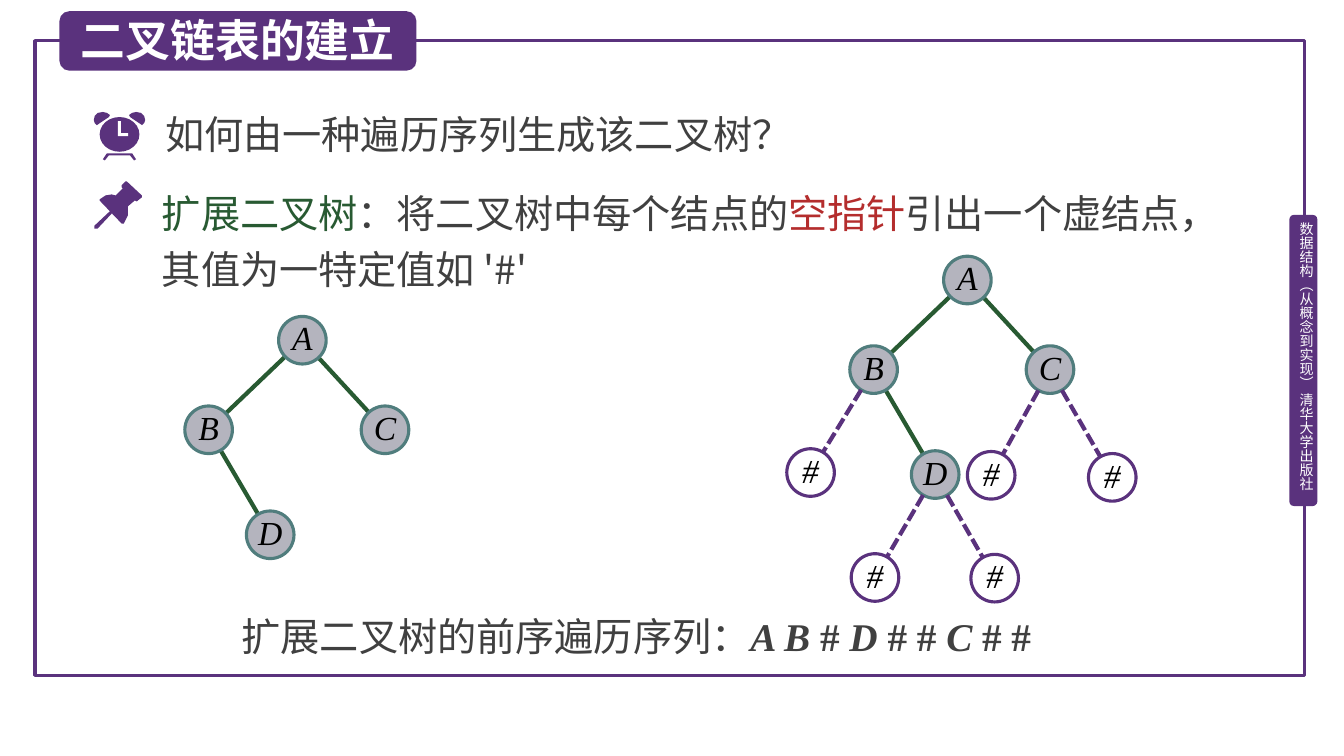
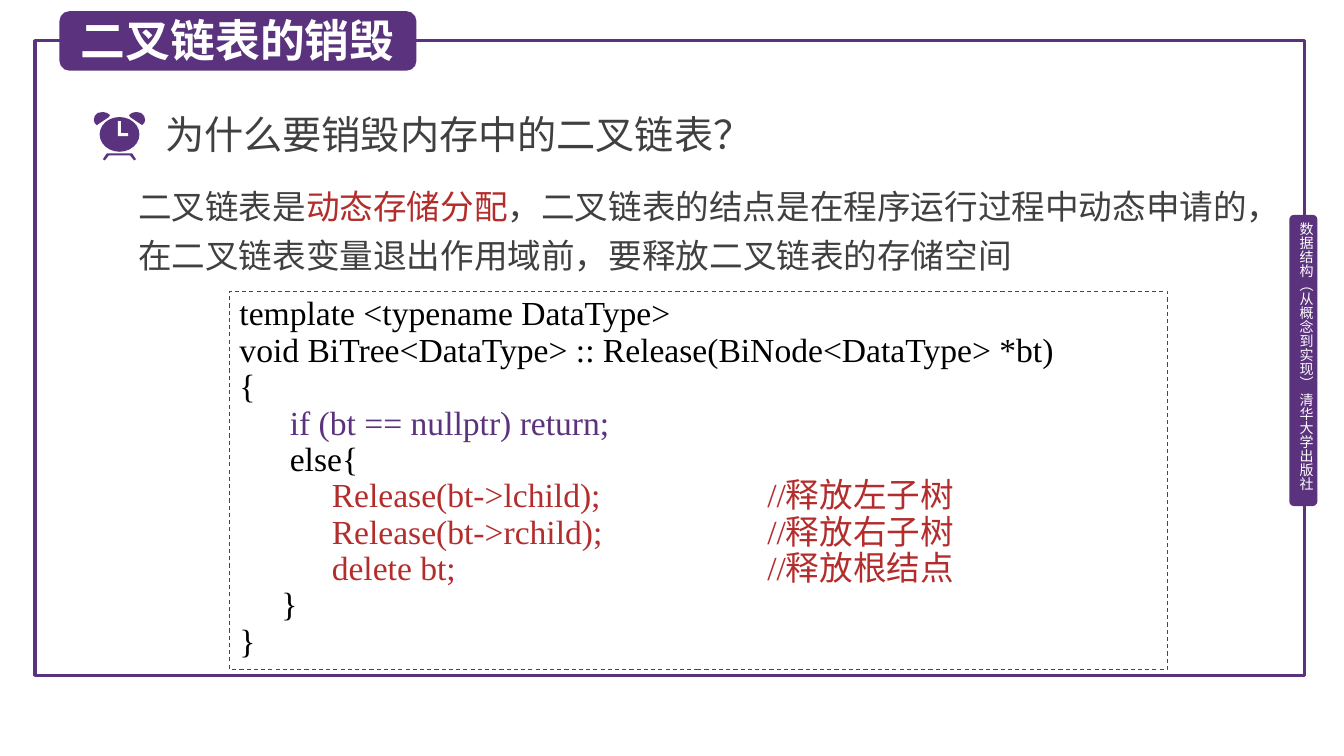
from math import hypot

from lxml import etree
from pptx import Presentation
from pptx.dml.color import RGBColor
from pptx.enum.dml import MSO_LINE
from pptx.enum.shapes import MSO_CONNECTOR, MSO_SHAPE
from pptx.enum.text import MSO_ANCHOR, MSO_AUTO_SIZE, PP_ALIGN
from pptx.oxml.ns import qn
from pptx.util import Pt

RECT, ROUNDED, OVAL = MSO_SHAPE.RECTANGLE, MSO_SHAPE.ROUNDED_RECTANGLE, MSO_SHAPE.OVAL
STRAIGHT = MSO_CONNECTOR.STRAIGHT
DASH, SHORT_DASH = MSO_LINE.DASH, MSO_LINE.SQUARE_DOT
TOP, MIDDLE = MSO_ANCHOR.TOP, MSO_ANCHOR.MIDDLE
LEFT, CENTER, JUSTIFY = PP_ALIGN.LEFT, PP_ALIGN.CENTER, PP_ALIGN.JUSTIFY
NO_FIT = MSO_AUTO_SIZE.NONE

PURPLE = RGBColor(0x5A, 0x32, 0x7D)
WHITE = RGBColor(0xFF, 0xFF, 0xFF)
BLACK = RGBColor(0, 0, 0)
GRAY = RGBColor(0x40, 0x40, 0x40)
GREEN = RGBColor(0x28, 0x5A, 0x32)
RED = RGBColor(0xB4, 0x2D, 0x2D)
NODE_FILL = RGBColor(0xB4, 0xB4, 0xBE)
NODE_LINE = RGBColor(0x50, 0x7D, 0x7D)

SANS, SERIF = "Noto Sans CJK SC", "Times New Roman"
NODE = 34
COMMENT_TAB = 377

CLOCK_EAR = [(2.2, 9.4), (0.7, 7.9), (0, 5.8), (0.7, 2.9), (2.9, 0.7),
             (6.5, 0), (9.4, 0.7), (11.5, 2.2), (10.8, 3.6)]
CLOCK_WIDTH = 36.7
CLOCK_HANDS = [(17.3, 6.5), (19.4, 6.5), (19.4, 15.1), (24.5, 15.1),
               (24.5, 17.3), (17.3, 17.3)]
CLOCK_STAND = [(6.5, 33.8), (9.4, 29.5), (27.4, 29.5), (30.2, 33.8),
               (28.8, 34.6), (25.9, 31), (10.8, 31), (7.9, 34.6)]
PIN_HEAD = [(33.8, 10.1), (23, 0), (22.3, 0), (19.4, 2.9), (19.4, 4.3),
            (20.2, 5), (15.1, 10.1), (12.2, 9.4), (7.9, 10.1), (3.6, 13),
            (3.6, 13.7), (19.4, 30.2), (20.9, 30.2), (23.8, 24.5),
            (23.8, 18), (28.8, 13.7), (30.2, 14.4), (33.8, 11.5)]
PIN_NEEDLE = [(0, 33.8), (0, 31.7), (11.5, 20.9), (13.7, 20.9),
              (13, 22.3), (2.2, 33.8)]

TREE_NODES = {"A": (67, 0), "B": (0, 64), "C": (126, 64), "D": (44, 139)}
TREE_EDGES = ["AB", "AC", "BD"]
VIRTUAL_NODES = [("B", (-45, 137.5)), ("D", (1, 212.5)), ("C", (84, 139.5)),
                 ("C", (170.5, 141)), ("D", (86.5, 213))]

RELEASE_CODE = [
    ("template <typename DataType>", BLACK),
    ("void BiTree<DataType> :: Release(BiNode<DataType> *bt)", BLACK),
    ("{", BLACK),
    ("      if (bt == nullptr) return;", PURPLE),
    ("      else{", BLACK),
    ("           Release(bt->lchild);\t//释放左子树", RED),
    ("           Release(bt->rchild);\t//释放右子树", RED),
    ("           delete bt;\t//释放根结点", RED),
    ("     }", BLACK),
    ("}", BLACK),
]


def place(shape, box):
    """Move a shape to a box given in points."""
    shape.left, shape.top, shape.width, shape.height = (Pt(v) for v in box)


def add_run(paragraph, text, color, size, font=SANS, bold=False, italic=False):
    """Append one formatted run."""
    run = paragraph.add_run()
    run.text = text
    run.font.size, run.font.name = Pt(size), font
    run.font.bold, run.font.italic = bold, italic
    run.font.color.rgb = color
    east_asian = etree.SubElement(run.font._element, qn("a:ea"))
    east_asian.set("typeface", SANS)


def set_frame(frame, anchor=TOP, margins=(7.2, 3.6), wrap=True):
    """Prepare a text frame and return its first paragraph."""
    frame.auto_size = NO_FIT
    frame.word_wrap = wrap
    frame.vertical_anchor = anchor
    frame.margin_left = frame.margin_right = Pt(margins[0])
    frame.margin_top = frame.margin_bottom = Pt(margins[1])
    return frame.paragraphs[0]


def add_text_box(slide, box, **frame_options):
    """Add a text box and return its first paragraph."""
    text_box = slide.shapes.add_textbox(*(Pt(v) for v in box))
    return set_frame(text_box.text_frame, **frame_options)


def paint(shape, fill=None, line=None, width=2.25, dash=None):
    """Set fill and outline, leaving out whichever is not given."""
    shape.shadow.inherit = False
    if fill is None:
        shape.fill.background()
    else:
        shape.fill.solid()
        shape.fill.fore_color.rgb = fill
    if line is None:
        shape.line.fill.background()
    else:
        shape.line.color.rgb = line
        shape.line.width = Pt(width)
        if dash is not None:
            shape.line.dash_style = dash


def add_box(slide, kind, box, **paint_options):
    """Add a painted preset shape."""
    shape = slide.shapes.add_shape(kind, *(Pt(v) for v in box))
    paint(shape, **paint_options)
    return shape


def add_outline(slide, left, top, points, fill=PURPLE):
    """Add a filled polygon with points relative to its icon corner."""
    corners = [(Pt(left + x), Pt(top + y)) for x, y in points]
    builder = slide.shapes.build_freeform(*corners[0], scale=1.0)
    builder.add_line_segments(corners[1:], close=True)
    paint(builder.convert_to_shape(), fill=fill)


def add_clock(slide, left, top):
    """Draw the alarm clock icon."""
    add_outline(slide, left, top, CLOCK_STAND)
    add_outline(slide, left, top, CLOCK_EAR)
    add_outline(slide, left, top, [(CLOCK_WIDTH - x, y) for x, y in CLOCK_EAR])
    add_box(slide, OVAL, (left + 4.2, top + 3.6, 28.4, 24.8), fill=PURPLE)
    add_outline(slide, left, top, CLOCK_HANDS, fill=WHITE)


def add_pin(slide, left, top):
    """Draw the push pin icon."""
    add_outline(slide, left, top, PIN_HEAD)
    add_outline(slide, left, top, PIN_NEEDLE)


def add_edge(slide, parent, child, color, dash=None):
    """Join the rims of two nodes given by their top left corners."""
    dx, dy = child[0] - parent[0], child[1] - parent[1]
    radius = NODE / 2
    trim_x, trim_y = (radius * d / hypot(dx, dy) for d in (dx, dy))
    ends = (parent[0] + radius + trim_x, parent[1] + radius + trim_y,
            child[0] + radius - trim_x, child[1] + radius - trim_y)
    edge = slide.shapes.add_connector(STRAIGHT, *(Pt(v) for v in ends))
    edge.line.color.rgb = color
    edge.line.width = Pt(3)
    if dash is not None:
        edge.line.dash_style = dash
    etree.SubElement(edge._element.spPr, qn("a:effectLst"))


def add_node(slide, corner, label, fill, line):
    """Draw one labelled tree node."""
    node = add_box(slide, OVAL, (*corner, NODE, NODE), fill=fill, line=line)
    paragraph = set_frame(node.text_frame, MIDDLE, (0, 0), wrap=False)
    paragraph.alignment = CENTER
    paragraph.line_spacing = Pt(25)
    add_run(paragraph, label, BLACK, 24, SERIF, italic=True)


def add_tree(slide, left, top, extended=False):
    """Draw the binary tree, with its virtual nodes when extended."""
    corners = {name: (left + x, top + y) for name, (x, y) in TREE_NODES.items()}
    for parent, child in TREE_EDGES:
        add_edge(slide, corners[parent], corners[child], GREEN)
    for name, corner in corners.items():
        add_node(slide, corner, name, NODE_FILL, NODE_LINE)
    if extended:
        for parent, (x, y) in VIRTUAL_NODES:
            corner = (left + x, top + y)
            add_edge(slide, corners[parent], corner, PURPLE, SHORT_DASH)
            add_node(slide, corner, "#", None, PURPLE)


def add_shared_frame(slide):
    """Draw the border, side band and title tab, then move them to the layout."""
    own = len(slide.shapes)
    add_box(slide, RECT, (25, 29, 907, 453.5), line=PURPLE)
    add_box(slide, ROUNDED, (921, 153.5, 20, 208), fill=PURPLE)
    band = add_text_box(slide, (926.5, 159, 12.5, 202), margins=(0, 0))
    add_run(band, "数据结构（从概念到实现） 清华大学出版社", WHITE, 10)
    slide.shapes[own + 2].text_frame._txBody.bodyPr.set("vert", "eaVert")
    add_box(slide, ROUNDED, (42.5, 8, 255, 42.5), fill=PURPLE)
    layout_tree = slide.slide_layout.shapes._spTree
    for shape in list(slide.shapes)[own:]:
        layout_tree.append(shape._element)


def add_statement(slide, box, runs, size, leading):
    """Fill the body placeholder with one unbulleted paragraph."""
    body = slide.placeholders[1]
    place(body, box)
    paragraph = set_frame(body.text_frame)
    properties = paragraph._p.get_or_add_pPr()
    properties.set("marL", "0")
    properties.set("indent", "0")
    etree.SubElement(properties, qn("a:buNone"))
    paragraph.alignment = LEFT
    paragraph.space_before = Pt(0)
    paragraph.line_spacing = Pt(leading)
    for text, color in runs:
        add_run(paragraph, text, color, size)


def add_heading(slide, title, question):
    """Set the title and the question marked by the clock."""
    place(slide.shapes.title, (50.5, 5, 255, 46))
    heading = set_frame(slide.shapes.title.text_frame, MIDDLE)
    heading.alignment = LEFT
    add_run(heading, title, WHITE, 32, bold=True)
    add_clock(slide, 67, 80)
    line = add_text_box(slide, (111, 75, 703, 41), anchor=MIDDLE)
    add_run(line, question, GRAY, 28)


def add_traversal(slide, box):
    """Write the preorder sequence line."""
    line = add_text_box(slide, box, margins=(7.2, 0))
    line.alignment = JUSTIFY
    add_run(line, "扩展二叉树的前序遍历序列：", GRAY, 28)
    for part in ("A B ", "# ", "D ", "# # ", "C ", "# #"):
        add_run(line, part, GRAY, 28, SERIF, bold=True, italic="#" not in part)


def add_code(slide, box, lines):
    """Show code in a dashed box with comments on a tab stop."""
    panel = add_box(slide, RECT, box, line=PURPLE, width=0.75, dash=DASH)
    frame = panel.text_frame
    paragraph = set_frame(frame)
    for index, (text, color) in enumerate(lines):
        if index:
            paragraph = frame.add_paragraph()
        tabs = etree.SubElement(paragraph._p.get_or_add_pPr(), qn("a:tabLst"))
        etree.SubElement(tabs, qn("a:tab"), pos=str(Pt(COMMENT_TAB)), algn="l")
        paragraph.alignment = LEFT
        paragraph.line_spacing = Pt(26)
        add_run(paragraph, text, color, 24, SERIF)


def build_creation(slide):
    """Build the slide on creating the linked tree."""
    add_heading(slide, "二叉链表的建立", "如何由一种遍历序列生成该二叉树？")
    add_pin(slide, 67.5, 129.5)
    add_statement(slide, (108.5, 125, 789, 88), [
        ("扩展二叉树", GREEN), ("：将二叉树中每个结点的", GRAY), ("空指针", RED),
        ("引出一个虚结点，其值为一特定值如 '#'", GRAY)], 28, 40)
    add_tree(slide, 132, 226)
    add_tree(slide, 607, 183, extended=True)
    add_traversal(slide, (165.5, 437.5, 616, 45))


def build_release(slide):
    """Build the slide on destroying the linked tree."""
    add_heading(slide, "二叉链表的销毁", "为什么要销毁内存中的二叉链表？")
    add_statement(slide, (91.5, 123, 818, 75), [
        ("二叉链表是", GRAY), ("动态存储分配", RED),
        ("，二叉链表的结点是在程序运行过程中动态申请的，"
         "在二叉链表变量退出作用域前，要释放二叉链表的存储空间", GRAY)], 24, 35)
    add_code(slide, (164, 208, 670, 270), RELEASE_CODE)


def main():
    """Assemble and save the presentation."""
    deck = Presentation()
    deck.slide_width, deck.slide_height = Pt(960), Pt(540)
    layout = deck.slide_layouts[1]
    creation, release = (deck.slides.add_slide(layout) for _ in range(2))
    add_shared_frame(creation)
    build_creation(creation)
    build_release(release)
    deck.save("out.pptx")


if __name__ == "__main__":
    main()
